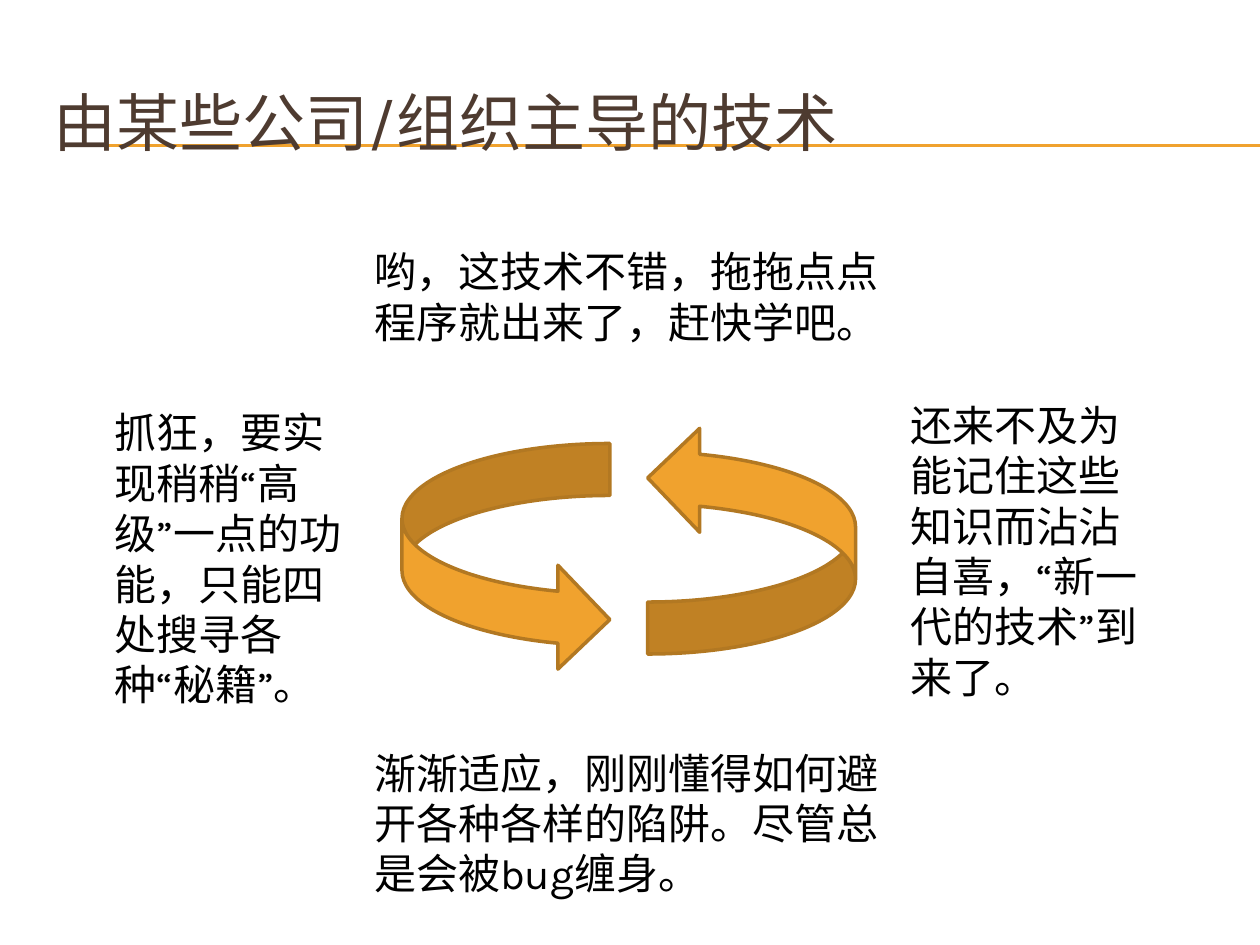
from dataclasses import dataclass

from lxml import etree
from pptx import Presentation
from pptx import util as u
from pptx.dml.color import RGBColor
from pptx.enum import lang, shapes, text
from pptx.oxml.ns import qn


@dataclass(frozen=True)
class Theme:
    """Colours, font and type sizes of the slide."""
    font: str = "Karla"
    title_color: RGBColor = RGBColor(0x4E, 0x3B, 0x30)
    body_color: RGBColor = RGBColor(0, 0, 0)
    accent: RGBColor = RGBColor(0xF0, 0xA2, 0x2E)
    accent_edge: RGBColor = RGBColor(0xB2, 0x78, 0x22)
    title_size: float = 36
    body_size: float = 24
    rule_width: float = 0.75
    arrow_edge_width: float = 2


THEME = Theme()

STAGES = [
    ((2.87, 1.9, 4.35, 0.91), "哟，这技术不错，拖拖点点程序就出来了，赶快学吧。"),
    ((0.81, 3.18, 2.05, 2.52), "抓狂，要实现稍稍“高级”一点的功能，只能四处搜寻各种“秘籍”。"),
    ((2.87, 5.88, 4.41, 1.31), "渐渐适应，刚刚懂得如何避开各种各样的陷阱。尽管总是会被bug缠身。"),
    ((7.13, 3.12, 2.05, 2.52), "还来不及为能记住这些知识而沾沾自喜，“新一代的技术”到来了。"),
]
CYCLE = [((3.19, 3.52, 1.65, 1.81), 0), ((5.14, 3.38, 1.65, 1.81), 180)]
RULE_HEIGHTS = (1.15, 1.16)


def apply_format(target, values):
    """Set each named attribute on the target."""
    for name, value in values.items():
        setattr(target, name, value)


def add_rule(slide, y):
    """Draw a thin line from the title's left to the slide edge."""
    rule = slide.shapes.add_connector(
        shapes.MSO_CONNECTOR.STRAIGHT,
        u.Inches(0.56), u.Inches(y), u.Inches(10), u.Inches(y))
    rule.line.color.rgb = THEME.accent
    rule.line.width = u.Pt(THEME.rule_width)
    etree.SubElement(rule._element.spPr, qn("a:effectLst"))


def add_wording(slide, box, wording, size, color, frame_format):
    """Place one wrapped paragraph in a text box."""
    frame = slide.shapes.add_textbox(*map(u.Inches, box)).text_frame
    apply_format(frame, {"word_wrap": True, **frame_format})
    run = frame.paragraphs[0].add_run()
    run.text = wording
    apply_format(run.font, {
        "name": THEME.font,
        "size": u.Pt(size),
        "language_id": lang.MSO_LANGUAGE_ID.SIMPLIFIED_CHINESE,
    })
    run.font.color.rgb = color
    east_asian = etree.SubElement(run.font._element, qn("a:ea"))
    east_asian.set("typeface", THEME.font)


def add_cycle_arrow(slide, box, rotation):
    """Draw one curved half of the cycle."""
    arrow = slide.shapes.add_shape(
        shapes.MSO_SHAPE.CURVED_RIGHT_ARROW, *map(u.Inches, box))
    arrow.rotation = rotation
    arrow.shadow.inherit = False
    arrow.fill.solid()
    arrow.fill.fore_color.rgb = THEME.accent
    arrow.line.color.rgb = THEME.accent_edge
    arrow.line.width = u.Pt(THEME.arrow_edge_width)


def main():
    """Build the slide and save it."""
    deck = Presentation()
    apply_format(deck, {"slide_width": u.Inches(10), "slide_height": u.Inches(7.5)})
    slide = deck.slides.add_slide(deck.slide_layouts[6])
    for y in RULE_HEIGHTS:
        add_rule(slide, y)
    add_wording(slide, (0.33, 0.5, 9.5, 0.92), "由某些公司/组织主导的技术",
                THEME.title_size, THEME.title_color,
                {"vertical_anchor": text.MSO_ANCHOR.MIDDLE})
    for box, rotation in CYCLE:
        add_cycle_arrow(slide, box, rotation)
    for box, wording in STAGES:
        add_wording(slide, box, wording, THEME.body_size, THEME.body_color,
                    {"auto_size": text.MSO_AUTO_SIZE.SHAPE_TO_FIT_TEXT})
    deck.save("out.pptx")


if __name__ == "__main__":
    main()
